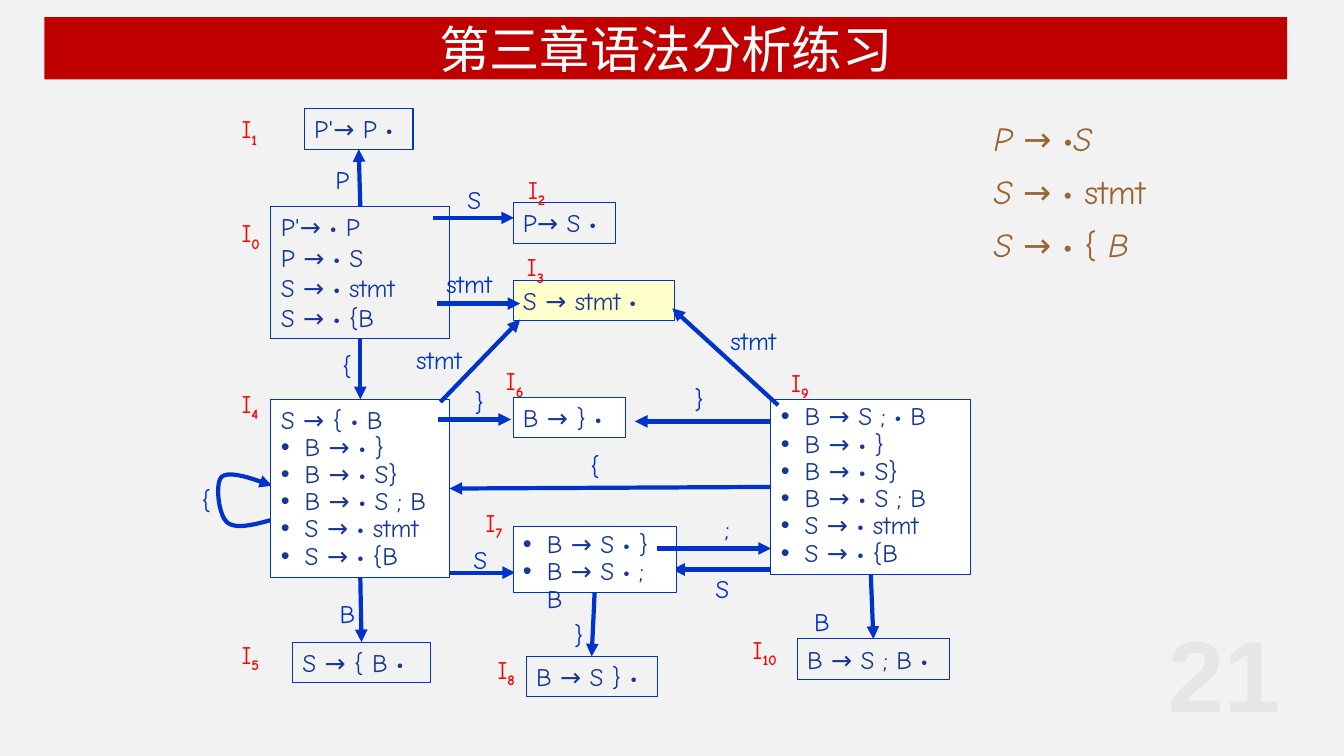
"""Build the LR item-set automaton slide for the syntax analysis exercise."""
from dataclasses import dataclass

import pptx
import pptx.dml.color
import pptx.enum.shapes
import pptx.enum.text
import pptx.oxml
import pptx.oxml.ns
import pptx.util

Cm = pptx.util.Cm
ALIGN = pptx.enum.text.PP_ALIGN
ANCHOR = pptx.enum.text.MSO_ANCHOR
RECT = pptx.enum.shapes.MSO_SHAPE.RECTANGLE
TOP, LEFT, BOTTOM, RIGHT = range(4)


@dataclass(frozen=True)
class Theme:
    back: str = "F2F2F2"
    banner: str = "C00000"
    white: str = "FFFFFF"
    accept: str = "FFFFCC"
    line: str = "0033CC"
    item: str = "163794"
    tag: str = "FF0000"
    rule: str = "996633"
    number: str = "E6E6E6"
    font: str = "Comic Neue"
    title_font: str = "Noto Sans CJK SC"
    number_font: str = "Arial"
    body_size: int = 18
    rule_size: int = 24
    title_size: int = 36
    number_size: int = 72
    border: float = 0.75
    arrow: float = 3


@dataclass(frozen=True)
class State:
    index: int
    at: tuple[float, float, float, float]
    tag: tuple[float, float]
    items: tuple[str, ...] = ()
    bullets: tuple[str, ...] = ()
    fill: str | None = None


@dataclass(frozen=True)
class Label:
    text: str
    x: float
    y: float


@dataclass(frozen=True)
class Arrow:
    start: tuple[float, float]
    end: tuple[float, float]


@dataclass(frozen=True)
class Link:
    start: int
    start_side: int
    end: int
    end_side: int


T = Theme()
ROW = 1.02
CLOSURE = ("B → • }", "B → • S}", "B → • S ; B", "S → • stmt", "S → • {B")
STATES = (
    State(0, (6.83, 5.21, 4.5, 3.33), (5.84, 5.36),
          ("P'→ • P", "P → • S", "S → • stmt", "S → • {B")),
    State(1, (7.67, 2.74, 2.74, ROW), (5.84, 2.74), ("P'→ P •",)),
    State(2, (12.93, 5.11, 2.59, ROW), (13.06, 4.27), ("P→ S •",)),
    State(3, (12.93, 7.06, 4.06, ROW), (13.03, 6.22), ("S → stmt •",), fill=T.accept),
    State(4, (6.83, 10.06, 4.5, 4.5), (5.84, 9.65), ("S → { • B",), CLOSURE, T.white),
    State(5, (7.37, 16.18, 3.48, ROW), (5.84, 15.98), ("S → { B •",)),
    State(6, (12.93, 10.01, 2.84, ROW), (12.5, 9.09), ("B → } •",), fill=T.white),
    State(7, (12.93, 13.28, 4.11, 1.65), (11.99, 12.65),
          bullets=("B → S • }", "B → S • ; B"), fill=T.white),
    State(8, (13.26, 16.54, 3.3, ROW), (12.29, 16.36), ("B → S } •",)),
    State(9, (19.43, 10.06, 5.03, 4.42), (19.69, 9.12),
          bullets=("B → S ; • B",) + CLOSURE, fill=T.white),
    State(10, (20.09, 16.1, 3.84, ROW), (18.72, 15.85), ("B → S ; B •",)),
)
ARROWS_BEHIND = (Arrow((10.92, 14.43), (12.98, 14.43)), Arrow((19.94, 14.35), (16.94, 14.35)))
ARROWS = (
    Arrow((10.92, 5.49), (12.95, 5.49)),
    Arrow((11.02, 7.65), (13.11, 7.65)),
    Arrow((11.05, 10.57), (12.88, 10.57)),
    Arrow((19.43, 10.62), (16, 10.62)),
    Arrow((19.61, 10.21), (16.94, 7.77)),
    Arrow((16.56, 13.82), (19.43, 13.82)),
    Arrow((11.1, 10.13), (13.11, 8.05)),
)
LINKS = (
    Link(0, TOP, 1, BOTTOM), Link(0, BOTTOM, 4, TOP), Link(4, BOTTOM, 5, TOP),
    Link(7, BOTTOM, 8, TOP), Link(9, BOTTOM, 10, TOP), Link(9, LEFT, 4, RIGHT),
)
LABEL_WIDTHS = {"stmt": 1.93, "S": 0.97, "P": 0.84, "{": 0.74}
LABELS = (
    Label("P", 8.2, 4.01), Label("S", 11.53, 4.52), Label("stmt", 11, 6.63),
    Label("{", 8.38, 8.71), Label("stmt", 10.24, 8.56), Label("stmt", 18.16, 8.08),
    Label("}", 11.71, 9.6), Label("}", 17.25, 9.53), Label("{", 14.63, 11.23),
    Label("{", 4.83, 12.07), Label(";", 18.01, 12.8), Label("S", 11.68, 13.59),
    Label("S", 17.78, 14.33), Label("B", 8.31, 14.94), Label("}", 14.22, 15.49),
    Label("B", 20.27, 15.16),
)
LOOP = (
    ((6.81, 13.11), (6.38, 13.23), (5.92, 13.34), (5.72, 13.16)),
    ((5.72, 13.16), (5.51, 12.98), (5.41, 12.17), (5.59, 12.01)),
    ((5.59, 12.01), (5.79, 11.86), (6.32, 12.04), (6.86, 12.24)),
)
RULES = (
    (("P ", True), ("→ •", False), ("S", True)),
    (("S ", True), ("→ • stmt", False)),
    (("S ", True), ("→ • { ", False), ("B", True)),
)


def rgb(value: str):
    return pptx.dml.color.RGBColor.from_string(value)


def add_run(p, text: str, color: str, **fmt):
    r = p.add_run()
    r.text = text
    for name, value in {"name": T.font, "size": pptx.util.Pt(T.body_size), **fmt}.items():
        setattr(r.font, name, value)
    r.font.color.rgb = rgb(color)
    return r


def add_child(parent, tag: str, **attrs: str) -> None:
    child = pptx.oxml.parse_xml(f"<{tag} {pptx.oxml.ns.nsdecls('a')}/>")
    for name, value in attrs.items():
        child.set(name, value)
    parent.append(child)


def add_rect(s, at: tuple, fill: str | None, line: str | None):
    sp = s.shapes.add_shape(RECT, *map(Cm, at))
    sp.shadow.inherit = False
    if fill:
        sp.fill.solid()
        sp.fill.fore_color.rgb = rgb(fill)
    else:
        sp.fill.background()
    if line:
        sp.line.color.rgb = rgb(line)
        sp.line.width = pptx.util.Pt(T.border)
    else:
        sp.line.fill.background()
    return sp


def add_text(s, at: tuple):
    tf = s.shapes.add_textbox(*map(Cm, at)).text_frame
    tf.word_wrap = False
    tf.auto_size = pptx.enum.text.MSO_AUTO_SIZE.SHAPE_TO_FIT_TEXT
    return tf


def add_state(s, state: State):
    sp = add_rect(s, state.at, state.fill, T.line)
    tf = sp.text_frame
    tf.vertical_anchor = ANCHOR.TOP
    rows = state.items + state.bullets
    tf.word_wrap = len(rows) > 1
    tf.auto_size = pptx.enum.text.MSO_AUTO_SIZE.SHAPE_TO_FIT_TEXT
    for i, text in enumerate(rows):
        p = tf.paragraphs[0] if i == 0 else tf.add_paragraph()
        p.alignment = ALIGN.LEFT
        if i >= len(state.items):
            p.line_spacing = 0.9
            pPr = p._p.get_or_add_pPr()
            pPr.set("marL", str(Cm(0.6)))
            pPr.set("indent", str(-Cm(0.6)))
            add_child(pPr, "a:buFont", typeface="Arial")
            add_child(pPr, "a:buChar", char="•")
        add_run(p, text, T.item)
    return sp


def style_arrow(sp) -> None:
    sp.line.color.rgb = rgb(T.line)
    sp.line.width = pptx.util.Pt(T.arrow)
    add_child(sp.line._get_or_add_ln(), "a:tailEnd", type="triangle")


def add_arrow(s, arrow: Arrow):
    c = s.shapes.add_connector(pptx.enum.shapes.MSO_CONNECTOR.STRAIGHT,
                               *map(Cm, arrow.start + arrow.end))
    style_arrow(c)
    add_child(c._element.spPr, "a:effectLst")
    return c


def add_loop(s, steps: int = 10) -> None:
    points = [
        tuple(Cm((1 - t) ** 3 * a + 3 * (1 - t) ** 2 * t * b + 3 * (1 - t) * t * t * c + t ** 3 * d)
              for a, b, c, d in zip(*curve))
        for curve in LOOP for t in (i / steps for i in range(1, steps + 1))
    ]
    builder = s.shapes.build_freeform(*map(Cm, LOOP[0][0]))
    builder.add_line_segments(points, close=False)
    sp = builder.convert_to_shape()
    sp.shadow.inherit = False
    sp.fill.background()
    style_arrow(sp)


def add_title(s) -> None:
    tf = add_rect(s, (1.12, 0.43, 31.32, 1.57), T.banner, None).text_frame
    tf.vertical_anchor = ANCHOR.MIDDLE
    p = tf.paragraphs[0]
    p.alignment = ALIGN.CENTER
    r = add_run(p, "第三章语法分析练习", T.white, name=T.title_font, size=pptx.util.Pt(T.title_size))
    add_child(r._r.get_or_add_rPr(), "a:ea", typeface=T.title_font)


def add_rules(s) -> None:
    tf = add_text(s, (24.79, 2.95, 5.23, 4.06))
    for i, parts in enumerate(RULES):
        p = tf.paragraphs[0] if i == 0 else tf.add_paragraph()
        p.line_spacing = 0.9
        if i:
            p.space_before = pptx.util.Pt(T.rule_size / 2)
        for text, italic in parts:
            add_run(p, text, T.rule, size=pptx.util.Pt(T.rule_size), italic=italic)


def main() -> None:
    prs = pptx.Presentation()
    prs.slide_width, prs.slide_height = Cm(33.87), Cm(19.05)
    s = prs.slides.add_slide(prs.slide_layouts[6])
    s.background.fill.solid()
    s.background.fill.fore_color.rgb = rgb(T.back)
    p = add_text(s, (29.2, 15.3, 3.33, 3.1)).paragraphs[0]
    add_run(p, "21", T.number, name=T.number_font, size=pptx.util.Pt(T.number_size), bold=True)
    add_title(s)
    for arrow in ARROWS_BEHIND:
        add_arrow(s, arrow)
    add_loop(s)
    boxes = {state.index: add_state(s, state) for state in STATES}
    for arrow in ARROWS:
        add_arrow(s, arrow)
    for link in LINKS:
        c = add_arrow(s, Arrow((0, 0), (1, 1)))
        c.begin_connect(boxes[link.start], link.start_side)
        c.end_connect(boxes[link.end], link.end_side)
    for state in STATES:
        p = add_text(s, (*state.tag, 1.4 if state.index > 9 else 1.12, ROW)).paragraphs[0]
        add_run(p, "I", T.tag)
        r = add_run(p, str(state.index), T.tag, bold=True)
        r._r.get_or_add_rPr().set("baseline", "-25000")
    for label in LABELS:
        tf = add_text(s, (label.x, label.y, LABEL_WIDTHS.get(label.text, 0.81), ROW))
        add_run(tf.paragraphs[0], label.text, T.line)
    add_rules(s)
    prs.save("out.pptx")


if __name__ == "__main__":
    main()
